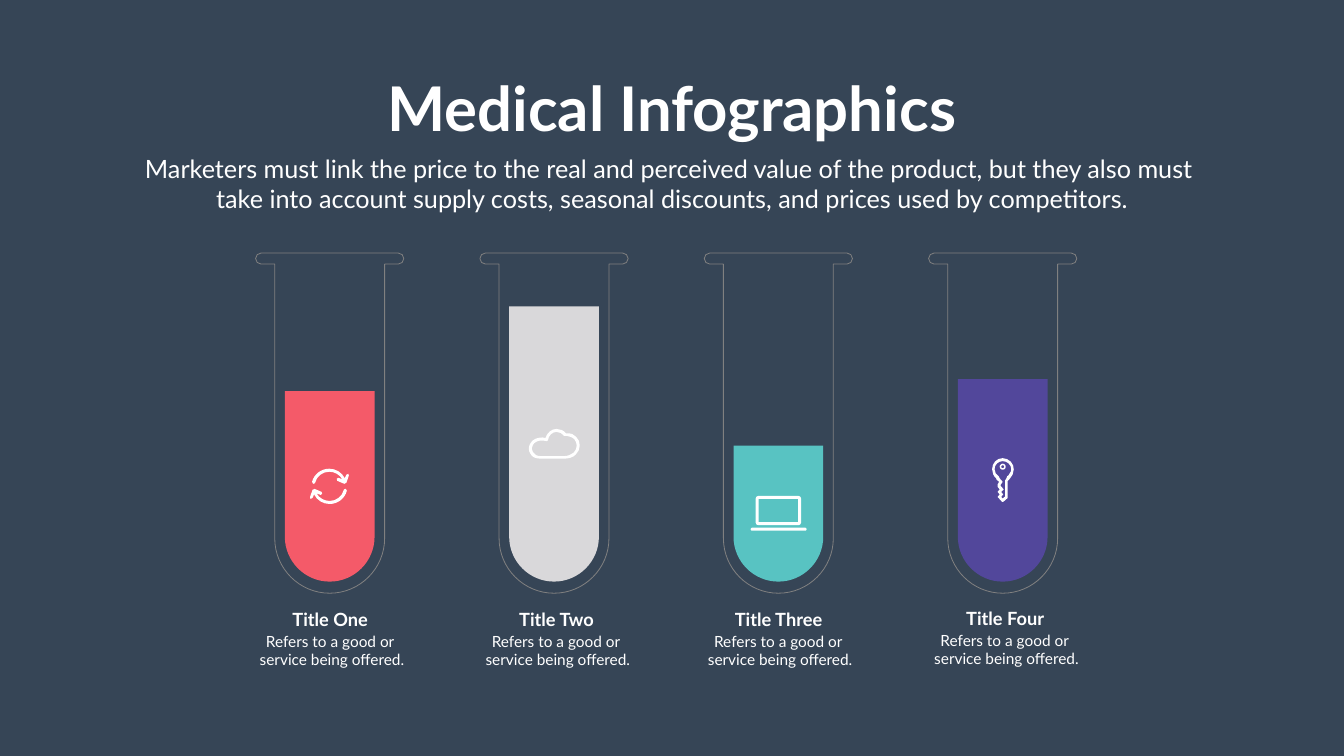
from math import cos, radians, sin

from lxml.etree import SubElement
from pptx import Presentation
from pptx.dml.color import RGBColor
from pptx.enum.shapes import MSO_SHAPE
from pptx.enum.text import MSO_AUTO_SIZE, PP_ALIGN
from pptx.oxml.ns import qn
from pptx.util import Emu, Pt

EMU_PER_PX = 9144
QUARTER_HANDLE = 0.55
WHITE, GLASS, NAVY = "FFFFFF", "808080", "364556"

CLOUD = [
    [(1118, 910), (1072, 910), (1063, 910, 1055, 907, 1052, 900),
     (1048, 894, 1048, 886, 1052, 880), (1056, 872, 1065, 868, 1076, 868),
     (1078, 868, 1080, 868, 1082, 869), (1085, 859, 1094, 851, 1104, 851),
     (1111, 851, 1118, 854, 1123, 860), (1133, 859, 1139, 862, 1143, 867),
     (1148, 872, 1150, 877, 1150, 884), (1150, 891, 1147, 897, 1142, 902),
     (1136, 908, 1128, 910, 1118, 910)],
    [(1076, 874), (1067, 874, 1060, 877, 1057, 883),
     (1054, 887, 1054, 892, 1057, 897), (1060, 902, 1065, 905, 1072, 905),
     (1118, 905), (1127, 905, 1133, 902, 1138, 898),
     (1142, 894, 1144, 889, 1144, 884), (1144, 879, 1142, 875, 1139, 871),
     (1136, 868, 1131, 866, 1125, 865), (1119, 865),
     (1116, 860, 1110, 857, 1104, 857), (1096, 857, 1088, 864, 1087, 873),
     (1086, 876, 1084, 876, 1083, 875), (1081, 874, 1078, 874, 1076, 874)],
]
KEY = [
    [(2005, 916), (2001, 912, 1995, 909, 1989, 909),
     (1977, 909, 1968, 919, 1968, 931), (1968, 938, 1971, 945, 1976, 949),
     (1977, 952), (1982, 956), (1979, 961), (1979, 966), (1983, 971),
     (1979, 976), (1983, 981), (1979, 986), (1987, 995), (1989, 996),
     (1991, 995), (1999, 988), (1999, 954), (2003, 950),
     (2008, 945, 2011, 938, 2011, 931), (2011, 926, 2009, 920, 2005, 916)],
    [(2003, 939), (2002, 942, 2000, 944, 1998, 945), (1996, 950), (1994, 953),
     (1994, 985), (1989, 989), (1986, 986), (1990, 981), (1986, 976),
     (1991, 971), (1985, 964), (1985, 962), (1989, 956), (1983, 949),
     (1981, 945), (1976, 942, 1973, 937, 1973, 931),
     (1973, 922, 1980, 915, 1989, 915), (1998, 915, 2006, 922, 2006, 931),
     (2006, 934, 2005, 937, 2003, 939)],
]
REFRESH_ARROW = [
    (691, 940), (689, 940, 688, 940, 687, 942), (684, 949),
    (678, 937, 666, 930, 653, 930), (637, 930, 623, 941, 619, 956),
    (619, 958, 620, 959, 621, 960), (623, 960, 625, 959, 625, 958),
    (628, 945, 640, 936, 653, 936), (664, 936, 674, 942, 679, 951), (671, 948),
    (670, 948, 668, 948, 668, 950), (667, 951, 668, 953, 669, 954), (683, 960),
    (685, 960, 686, 959, 687, 958), (692, 944), (693, 943, 692, 941, 691, 940),
]


def rgb(color):
    return RGBColor.from_string(color)


def px(length):
    return Emu(round(length * EMU_PER_PX))


def arc(cx, cy, radius, start, quarters=2, turn=-1):
    steps = [(cx + radius * cos(radians(start)), cy + radius * sin(radians(start)))]
    handle = radius * QUARTER_HANDLE * turn
    for quarter in range(quarters):
        a = radians(start + 90 * turn * quarter)
        b = a + radians(90 * turn)
        x0, y0 = cx + radius * cos(a), cy + radius * sin(a)
        x1, y1 = cx + radius * cos(b), cy + radius * sin(b)
        steps.append((x0 - handle * sin(a), y0 + handle * cos(a),
                      x1 + handle * sin(b), y1 - handle * cos(b), x1, y1))
    return steps


def rounded_box(left, top, right, bottom, radius):
    corners = [(right - radius, top + radius, 270), (right - radius, bottom - radius, 0),
               (left + radius, bottom - radius, 90), (left + radius, top + radius, 180)]
    return [step for x, y, start in corners for step in arc(x, y, radius, start, 1, 1)]


def half_turn(contour, x_sum, y_sum):
    sums = (x_sum, y_sum) * 3
    return [tuple(s - v for s, v in zip(sums, step)) for step in contour]


class Deck:
    font = "Lato"
    ink = WHITE

    def __init__(self, width, height, background):
        self.presentation = Presentation()
        self.presentation.slide_width = px(width)
        self.presentation.slide_height = px(height)
        self.slide = self.presentation.slides.add_slide(self.presentation.slide_layouts[6])
        self.slide.background.fill.solid()
        self.slide.background.fill.fore_color.rgb = rgb(background)

    def paint(self, shape, fill, line=None):
        shape.shadow.inherit = False
        if fill:
            shape.fill.solid()
            shape.fill.fore_color.rgb = rgb(fill)
        else:
            shape.fill.background()
        if line:
            shape.line.color.rgb = rgb(line)
            shape.line.width = Pt(1.16)
        else:
            shape.line.fill.background()

    def outline(self, contours, fill=None, line=None):
        builder = None
        for contour in contours:
            points = [(px(step[i]), px(step[i + 1]))
                      for step in contour for i in range(0, len(step), 2)]
            if builder is None:
                builder = self.slide.shapes.build_freeform(*points[0])
            else:
                builder.move_to(*points[0])
            builder.add_line_segments(points[1:], close=True)
        shape = builder.convert_to_shape()
        self.bend(shape, contours)
        self.paint(shape, fill, line)

    def bend(self, shape, contours):
        segments = iter(list(shape.element.iter(qn("a:lnTo"))))
        for step in (step for contour in contours for step in contour[1:]):
            first = next(segments)
            if len(step) == 6:
                parent = first.getparent()
                curve = SubElement(parent, qn("a:cubicBezTo"))
                first.addprevious(curve)
                for segment in (first, next(segments), next(segments)):
                    curve.append(segment[0])
                    parent.remove(segment)

    def preset(self, kind, left, top, width, height, adjustment):
        shape = self.slide.shapes.add_shape(kind, px(left), px(top), px(width), px(height))
        shape.adjustments[0] = adjustment
        self.paint(shape, self.ink)

    def text(self, left, top, width, height, words, size, bold=False, wrap=False):
        frame = self.slide.shapes.add_textbox(px(left), px(top), px(width), px(height)).text_frame
        frame.word_wrap = wrap
        frame.auto_size = MSO_AUTO_SIZE.SHAPE_TO_FIT_TEXT
        frame.text = words
        for paragraph in frame.paragraphs:
            paragraph.alignment = PP_ALIGN.CENTER
            for run in paragraph.runs:
                run.font.name = self.font
                run.font.size = Pt(size)
                run.font.bold = bold
                run.font.color.rgb = rgb(self.ink)

    def test_tube(self, cx, liquid_top, color):
        glass = [(cx + 136, 502), *arc(cx - 136, 513, 11, 270), (cx - 109, 524),
                 *arc(cx, 1068, 109, 180), (cx + 109, 524), *arc(cx + 136, 513, 11, 90)]
        liquid = [(cx - 89, liquid_top), *arc(cx, 1065, 89, 180), (cx + 89, liquid_top)]
        self.outline([glass], line=GLASS)
        self.outline([liquid], fill=color)


def main():
    deck = Deck(2666, 1500, NAVY)

    liquids = [(776, "F45A69"), (608, "D9D8DA"), (884, "58C3C2"), (752, "52479B")]
    for column, (liquid_top, color) in enumerate(liquids):
        deck.test_tube(654 + 445 * column, liquid_top, color)

    laptop_screen = [rounded_box(1499, 984, 1589, 1042, 5),
                     [(1505, 1036), (1583, 1036), (1583, 990), (1505, 990)]]
    for icon in (CLOUD, laptop_screen, KEY, [REFRESH_ARROW],
                 [half_turn(REFRESH_ARROW, 1307, 1930)]):
        deck.outline(icon, fill=WHITE)
    deck.preset(MSO_SHAPE.ROUNDED_RECTANGLE, 1489, 1047, 111, 6, 0.5)
    deck.preset(MSO_SHAPE.DONUT, 1983, 920, 12, 12, 0.25)

    captions = [("Title One", 502, 569, 172, 1202), ("Title Two", 950, 1017, 174, 1202),
                ("Title Three", 1391, 1446, 197, 1202), ("Title Four", 1840, 1905, 178, 1200)]
    for title, detail_left, title_left, title_width, top in captions:
        deck.text(detail_left, top + 47, 313, 84,
                  "Refers to a good or \nservice being offered.", 22)
        deck.text(title_left, top, title_width, 54, title, 26, bold=True)

    deck.text(273, 299, 2120, 131,
              "Marketers must link the price to the real and perceived value of the product, "
              "but they also must \ntake into account supply costs, seasonal discounts, "
              "and prices used by competitors.", 36, wrap=True)
    deck.text(747, 133, 1171, 158, "Medical Infographics", 88, bold=True)

    deck.presentation.save("out.pptx")


if __name__ == "__main__":
    main()
